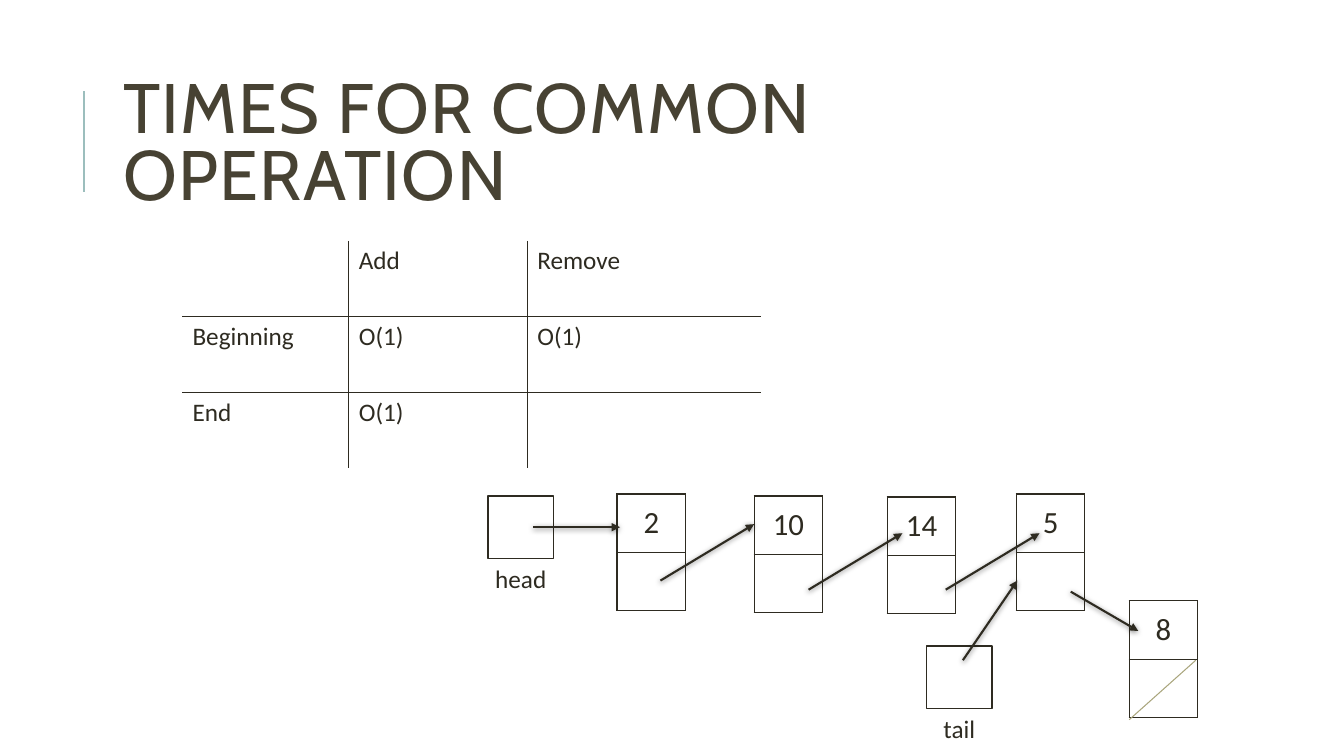
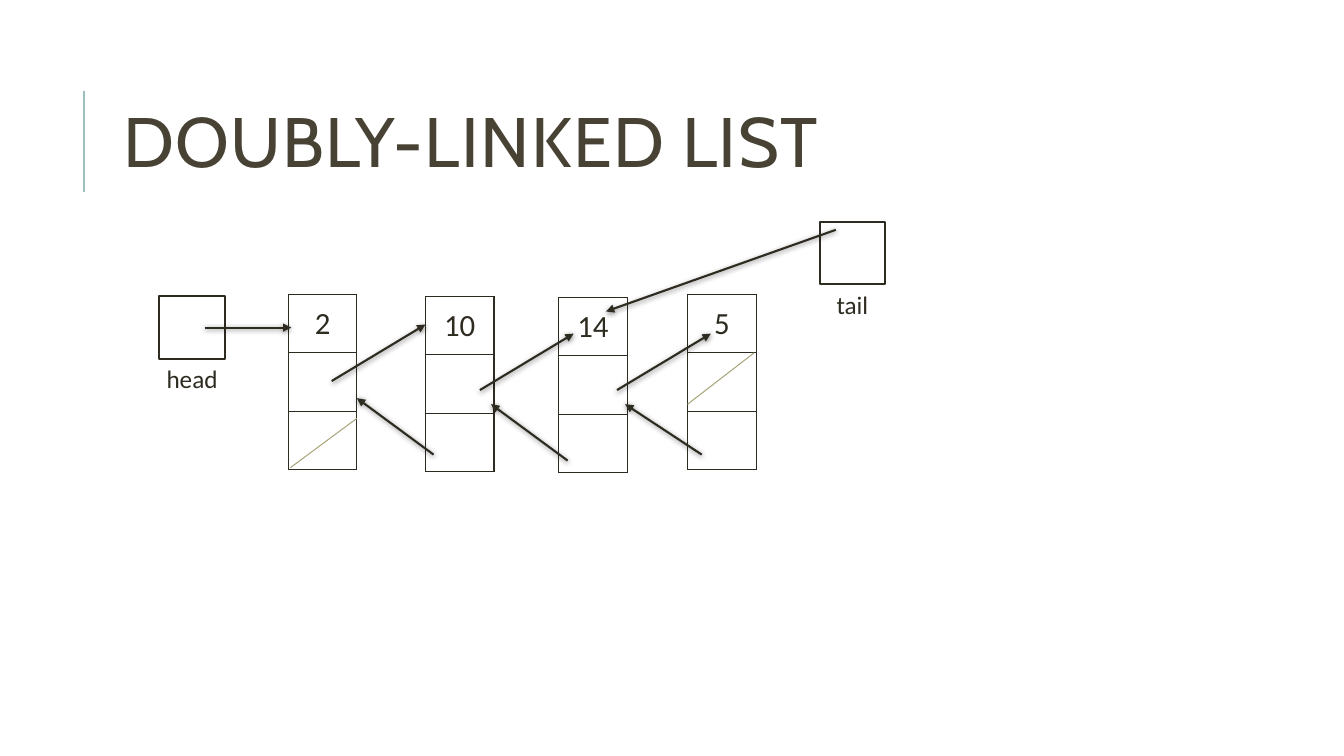
from itertools import product

from pptx import Presentation
from pptx import util as u
from pptx.dml.color import RGBColor
from pptx.enum import shapes, text
from pptx.oxml import parse_xml
from pptx.oxml.ns import nsdecls

INK = RGBColor(0x2E, 0x2B, 0x21)
TITLE = RGBColor(0x47, 0x42, 0x33)
ACCENT = RGBColor(0x9C, 0xBE, 0xBD)
SLASH = RGBColor(0xA9, 0xA5, 0x7C)

COLS, ROWS = 13.33, 7.5
GRID = u.Inches(1)
NODE_W, CELL_H = 0.68, 0.58
BOX_W, BOX_H = 0.65, 0.62
LABEL_W, LABEL_H = 0.8, 0.4

SHADOW = (
    '<a:outerShdw blurRad="50800" dist="12700" dir="5400000" rotWithShape="0">'
    '<a:srgbClr val="000000"><a:alpha val="50000"/></a:srgbClr></a:outerShdw>'
)


def grid(*cells):
    return [round(c * GRID) for c in cells]


class Deck:
    title_font = "Cabin"
    body_font = "Calibri"

    def __init__(self):
        self.prs = Presentation()
        self.prs.slide_width, self.prs.slide_height = grid(COLS, ROWS)
        self.s = None

    def style(self, p, size, color=INK, name=body_font, align=text.PP_ALIGN.LEFT):
        p.font.size = u.Pt(size)
        p.font.name = name
        p.font.color.rgb = color
        p.alignment = align

    def slide(self, title):
        self.s = self.prs.slides.add_slide(self.prs.slide_layouts[5])
        self.line((0.83, 1.9), (0.83, 0.9), ACCENT, 1.5)
        sp = self.s.shapes.title
        sp.left, sp.top, sp.width, sp.height = grid(1.12, 0.64, 10.63, 1.64)
        tf = sp.text_frame
        tf.text = title
        tf.word_wrap = True
        tf.auto_size = text.MSO_AUTO_SIZE.NONE
        tf.vertical_anchor = text.MSO_ANCHOR.MIDDLE
        p = tf.paragraphs[0]
        self.style(p, 50, TITLE, self.title_font)
        p.line_spacing = 0.8
        p.runs[0].font._element.set("spc", "100")

    def line(self, start, end, color, width, effect=""):
        c = self.s.shapes.add_connector(
            shapes.MSO_CONNECTOR.STRAIGHT, *grid(*start, *end))
        c.line.color.rgb = color
        c.line.width = u.Pt(width)
        c._element.spPr.append(parse_xml(
            f'<a:effectLst {nsdecls("a")}>{effect}</a:effectLst>'))
        return c

    def arrow(self, start, end):
        c = self.line(start, end, INK, 1.5, SHADOW)
        c.line._get_or_add_ln().append(
            parse_xml(f'<a:tailEnd {nsdecls("a")} type="triangle"/>'))

    def slash(self, start, end):
        self.line(start, end, SLASH, 0.75)

    def border(self, cell, sides):
        for side in "LRTB":
            fill = (f'<a:solidFill><a:srgbClr val="{INK}"/></a:solidFill>'
                    if side in sides else "<a:noFill/>")
            cell._tc.get_or_add_tcPr().append(parse_xml(
                f'<a:ln{side} {nsdecls("a")} w="12700">{fill}</a:ln{side}>'))
        cell.fill.background()

    def table(self, left, top, widths, height, rows, size=18, outer=False,
              anchor=text.MSO_ANCHOR.TOP, align=text.PP_ALIGN.LEFT):
        n, m = len(rows), len(widths)
        t = self.s.shapes.add_table(
            n, m, *grid(left, top, sum(widths), n * height)).table
        t.first_row = t.horz_banding = False
        for col, width in zip(t.columns, grid(*widths)):
            col.width = width
        for i, j in product(range(n), range(m)):
            cell = t.cell(i, j)
            cell.vertical_anchor = anchor
            edges = {"L": j > 0, "R": j < m - 1, "T": i > 0, "B": i < n - 1}
            self.border(cell, [e for e, inner in edges.items() if inner or outer])
            if rows[i][j]:
                cell.text = rows[i][j]
                self.style(cell.text_frame.paragraphs[0], size, align=align)

    def node(self, left, top, value, cells):
        rows = [[value]] + [[""]] * (cells - 1)
        self.table(left, top, [NODE_W], CELL_H, rows, 22, True,
                   text.MSO_ANCHOR.MIDDLE, text.PP_ALIGN.CENTER)

    def pointer(self, left, top, label):
        group = self.s.shapes.add_group_shape().shapes
        sp = group.add_shape(shapes.MSO_SHAPE.RECTANGLE,
                             *grid(left, top, BOX_W, BOX_H))
        sp.shadow.inherit = False
        sp.fill.background()
        sp.line.color.rgb = INK
        sp.line.width = u.Pt(1.25)
        tb = group.add_textbox(*grid(left + (BOX_W - LABEL_W) / 2, top + BOX_H,
                                     LABEL_W, LABEL_H))
        tf = tb.text_frame
        tf.text = label
        tf.word_wrap = False
        self.style(tf.paragraphs[0], 18, align=text.PP_ALIGN.CENTER)

    def linked_list(self, left, top, cells):
        nodes = [("2", 0, 0), ("10", 1.36, 0.02), ("14", 2.68, 0.03), ("5", 3.96, 0)]
        for value, x, y in nodes:
            self.node(left + x, top + y, value, cells)
        self.pointer(left - 1.28, top + 0.02, "head")
        self.arrow((left - 0.83, top + 0.33), (left + 0.03, top + 0.33))
        for x, y in [(0.43, 0.86), (1.9, 0.95), (3.26, 0.95)]:
            self.arrow((left + x, top + y), (left + x + 0.93, top + y - 0.56))


def main():
    d = Deck()

    d.slide("TIMES FOR COMMON OPERATION")
    d.table(1.81, 2.39, [1.65, 1.77, 2.32], 0.75, [
        ["", "Add", "Remove"],
        ["Beginning", "O(1)", "O(1)"],
        ["End", "O(1)", ""],
    ])
    d.linked_list(6.12, 4.9, cells=2)
    d.node(11.2, 5.96, "8", 2)
    d.slash((11.86, 6.55), (11.2, 7.14))
    d.arrow((10.62, 5.87), (11.29, 6.26))
    d.pointer(9.19, 6.41, "tail")
    d.arrow((9.55, 6.55), (10.09, 5.76))

    d.slide("DOUBLY-LINKED LIST")
    d.linked_list(2.86, 2.92, cells=3)
    d.pointer(8.13, 2.2, "tail")
    d.arrow((8.29, 2.28), (6.01, 3.09))
    for start, end in [((4.3, 4.51), (3.54, 3.95)),
                       ((5.63, 4.57), (4.87, 4.01)),
                       ((6.96, 4.51), (6.2, 4.01))]:
        d.arrow(start, end)
    d.slash((7.48, 3.5), (6.82, 4.01))
    d.slash((3.54, 4.15), (2.88, 4.64))

    d.prs.save("out.pptx")


if __name__ == "__main__":
    main()
